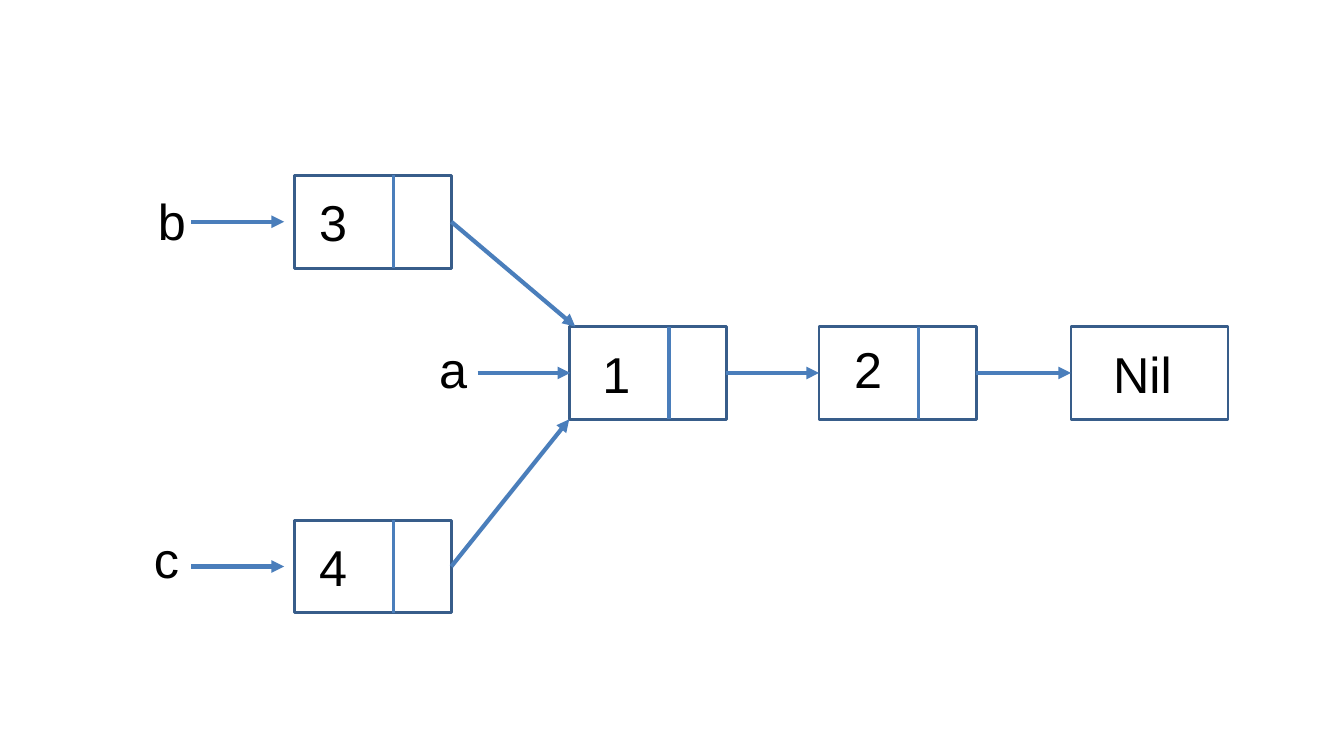
"""Build a slide of three linked lists, b, a and c, that share the tail 1, 2, Nil."""
from dataclasses import dataclass

from lxml import etree
from pptx import Presentation
from pptx.dml.color import RGBColor
from pptx.enum.shapes import MSO_CONNECTOR, MSO_SHAPE
from pptx.oxml.ns import qn
from pptx.util import Inches, Pt

STRAIGHT = MSO_CONNECTOR.STRAIGHT
RECTANGLE = MSO_SHAPE.RECTANGLE
LEFT_SITE, RIGHT_SITE = 1, 3


@dataclass(frozen=True)
class Theme:
    outline: RGBColor = RGBColor(0x38, 0x5D, 0x8A)
    link: RGBColor = RGBColor(0x4A, 0x7E, 0xBB)
    ink: RGBColor = RGBColor(0, 0, 0)
    font: str = "Arial"
    text_size: float = 36
    outline_width: float = 2
    divider_width: float = 2.25
    arrow_width: float = 3


theme = Theme()
presentation = Presentation()
presentation.slide_width, presentation.slide_height = Inches(13.34), Inches(7.5)
slide = presentation.slides.add_slide(presentation.slide_layouts[6])

COLUMNS = [2.92, 5.65, 8.13, 10.63]
ROWS = {"b": 1.74, "a": 3.24, "c": 5.16}
NODE_WIDTH, NODE_HEIGHT = 1.56, 0.92
DIVIDER_OFFSET = 0.99
POINTER_LENGTH = 0.92
TEXT_HEIGHT = 0.7


def add_text(text, left, top, width=0.47):
    box = slide.shapes.add_textbox(*map(Inches, (left, top, width, TEXT_HEIGHT)))
    box.text_frame.word_wrap = True
    paragraph = box.text_frame.paragraphs[0]
    paragraph.text = text
    font = paragraph.runs[0].font
    font.name, font.size = theme.font, Pt(theme.text_size)
    font.color.rgb = theme.ink


def add_line(start, end, width, arrow=True):
    connector = slide.shapes.add_connector(STRAIGHT, *map(Inches, (*start, *end)))
    connector.line.color.rgb = theme.link
    connector.line.width = Pt(width)
    if arrow:
        etree.SubElement(connector.line._get_or_add_ln(), qn("a:tailEnd"), type="triangle")
    etree.SubElement(connector._element.spPr, qn("a:effectLst"))
    return connector


NODES = [
    ("3", 0, "b", 0.15, 0.11),
    ("4", 0, "c", 0.15, 0.11),
    ("1", 1, "a", 0.23, 0.11),
    ("2", 2, "a", 0.25, 0.07),
    ("Nil", 3, "a", 0.32, 0.11),
]
nodes = {}
for value, column, row, text_left, text_top in NODES:
    left, top = COLUMNS[column], ROWS[row]
    node = slide.shapes.add_shape(RECTANGLE, *map(Inches, (left, top, NODE_WIDTH, NODE_HEIGHT)))
    node.shadow.inherit = False
    node.fill.background()
    node.line.color.rgb = theme.outline
    node.line.width = Pt(theme.outline_width)
    nodes[value] = node
    if value != "Nil":
        divider = left + DIVIDER_OFFSET
        add_line((divider, top), (divider, top + NODE_HEIGHT), theme.divider_width, arrow=False)
    add_text(value, left + text_left, top + text_top, 0.93 if value == "Nil" else 0.47)

middle = ROWS["a"] + NODE_HEIGHT / 2
for source, target in [("1", "2"), ("2", "Nil")]:
    link = add_line((0, middle), (1, middle), theme.arrow_width)
    link.begin_connect(nodes[source], RIGHT_SITE)
    link.end_connect(nodes[target], LEFT_SITE)

HEADS = [("3", "b", 0.06, 0), ("4", "c", 0, NODE_HEIGHT)]
for source, row, end_shift, end_drop in HEADS:
    start = (COLUMNS[0] + NODE_WIDTH, ROWS[row] + NODE_HEIGHT / 2)
    end = (COLUMNS[1] + end_shift, ROWS["a"] + end_drop)
    link = add_line(start, end, theme.arrow_width)
    link.begin_connect(nodes[source], RIGHT_SITE)

POINTERS = [("b", 1.9, 1.47, 0.1), ("a", 4.74, 4.26, 0.07), ("c", 1.9, 1.43, 0.03)]
for name, start, text_left, text_top in POINTERS:
    middle = ROWS[name] + NODE_HEIGHT / 2
    add_line((start, middle), (start + POINTER_LENGTH, middle), theme.arrow_width)
    add_text(name, text_left, ROWS[name] + text_top)

presentation.save("out.pptx")
